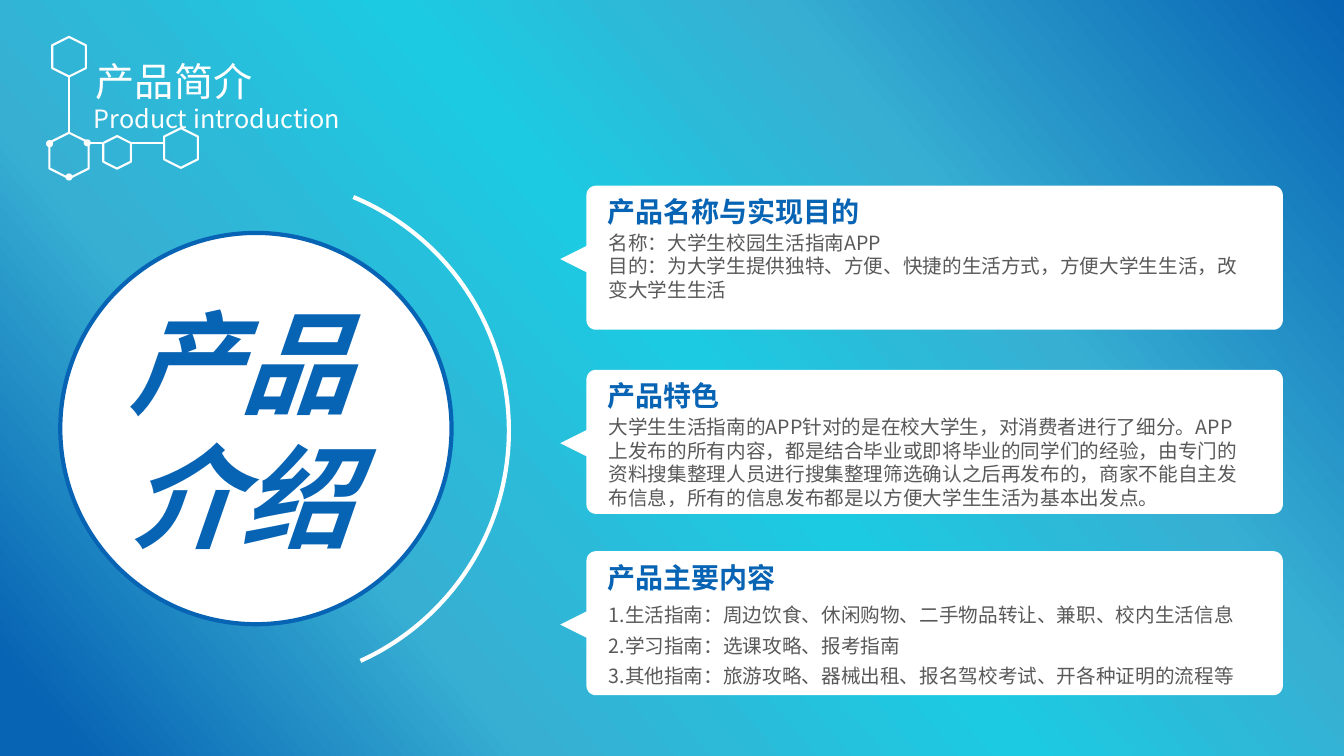
from dataclasses import dataclass
from math import cos, pi, sin

from lxml import etree
from pptx import Presentation
from pptx.dml.color import RGBColor
from pptx.enum.shapes import MSO_CONNECTOR, MSO_SHAPE
from pptx.enum.text import MSO_ANCHOR, MSO_AUTO_SIZE, PP_ALIGN
from pptx.oxml.ns import qn
from pptx.util import Cm, Pt

HEX, OVAL, ARC = MSO_SHAPE.HEXAGON, MSO_SHAPE.OVAL, MSO_SHAPE.ARC
LINE = MSO_CONNECTOR.STRAIGHT
TOP, LEFT, FIXED = MSO_ANCHOR.TOP, PP_ALIGN.LEFT, MSO_AUTO_SIZE.NONE


@dataclass(frozen=True)
class Theme:
    white: str = "FFFFFF"
    blue: str = "0763B3"
    gray: str = "595959"
    stops: tuple = ((4, "0763B3"), (27, "37AFD3"), (52, "1CCAE1"),
                    (71, "37AFD3"), (100, "0763B3"))
    sans: str = "Noto Sans CJK SC"
    latin: str = "Arial"
    title: int = 28
    sub: int = 18
    hero: int = 80
    head: int = 20
    body: int = 14
    thin: float = 1.5
    thick: float = 3


THEME = Theme()

# Card frame, in cm
CARD_X, CARD_W, CARD_H = 14.78, 17.55, 3.63
ROUND, TIP_Y, TIP_W, TIP_H = 0.24, 1.85, 0.66, 0.33

CARDS = (
    (4.68, "产品名称与实现目的", 1, (
        "名称：大学生校园生活指南APP",
        "目的：为大学生提供独特、方便、快捷的生活方式，方便大学生生活，改变大学生生活")),
    (9.32, "产品特色", 1, (
        "大学生生活指南的APP针对的是在校大学生，对消费者进行了细分。"
        "APP上发布的所有内容，都是结合毕业或即将毕业的同学们的经验，"
        "由专门的资料搜集整理人员进行搜集整理筛选确认之后再发布的，"
        "商家不能自主发布信息，所有的信息发布都是以方便大学生生活为基本出发点。",)),
    (13.89, "产品主要内容", 1.3, (
        "1.生活指南：周边饮食、休闲购物、二手物品转让、兼职、校内生活信息",
        "2.学习指南：选课攻略、报考指南",
        "3.其他指南：旅游攻略、器械出租、报名驾校考试、开各种证明的流程等")),
)

# Molecule: hexagons and dots by centre and size, bonds by ends
HEXES = ((1.74, 1.43, 1, 0.85), (1.74, 3.92, 1.15, 0.99),
         (2.95, 3.84, 0.82, 0.7), (4.56, 3.73, 1, 0.85))
BONDS = ((1.74, 1.93, 1.74, 3.35), (2.23, 3.61, 2.58, 3.61),
         (3.3, 3.61, 4.12, 3.61))
DOTS = ((1.25, 3.62), (1.74, 4.46), (2.2, 3.6))
DOT = 0.18


def rgb(code):
    return RGBColor.from_string(code)


def paint(shape, fill=None, line=None, width=THEME.thin):
    shape.shadow.inherit = False
    if fill:
        shape.fill.solid()
        shape.fill.fore_color.rgb = rgb(fill)
    else:
        shape.fill.background()
    if line:
        shape.line.color.rgb = rgb(line)
        shape.line.width = Pt(width)
    else:
        shape.line.fill.background()


def preset(slide, kind, mid_x, mid_y, wide, high, **look):
    shape = slide.shapes.add_shape(kind, Cm(mid_x - wide / 2),
                                   Cm(mid_y - high / 2), Cm(wide), Cm(high))
    paint(shape, **look)
    return shape


def bond(slide, *ends):
    line = slide.shapes.add_connector(LINE, *map(Cm, ends))
    line.line.color.rgb = rgb(THEME.white)
    line.line.width = Pt(THEME.thin)
    etree.SubElement(line._element.spPr, qn("a:effectLst"))


def write(shape, lines, size, color, space=1.0, face=THEME.sans,
          bold=False, slant=False, wrap=True):
    frame = shape.text_frame
    frame.word_wrap = wrap
    frame.auto_size = FIXED
    frame.vertical_anchor = TOP
    for i, text in enumerate(lines):
        para = frame.add_paragraph() if i else frame.paragraphs[0]
        para.alignment = LEFT
        para.line_spacing = space
        para.space_before = Pt(0)
        run = para.add_run()
        run.text = text
        font = run.font
        font.size, font.bold, font.italic = Pt(size), bold, slant
        font.color.rgb = rgb(color)
        font.name = face
        etree.SubElement(run._r.rPr, qn("a:ea"), typeface=THEME.sans)


def label(slide, box, *args, **look):
    write(slide.shapes.add_textbox(*map(Cm, box)), *args, **look)


def holder(shape, box, text, size):
    shape.left, shape.top, shape.width, shape.height = map(Cm, box)
    write(shape, (text,), size, THEME.white, space=0.9)
    props = shape.text_frame.paragraphs[0]._p.get_or_add_pPr()
    props.set("marL", "0")
    props.set("indent", "0")
    etree.SubElement(props, qn("a:buNone"))


def backdrop(slide):
    fill = slide.background.fill
    fill.gradient()
    fill.gradient_angle = 40
    stops = next(slide._element.iter(qn("a:gsLst")))
    for old in list(stops):
        stops.remove(old)
    for pos, code in THEME.stops:
        stop = etree.SubElement(stops, qn("a:gs"), pos=str(pos * 1000))
        etree.SubElement(stop, qn("a:srgbClr"), val=code)


def bubble(slide, top):
    right, low = CARD_X + CARD_W, top + CARD_H
    # Corner centres, clockwise from the top left
    turns = ((CARD_X + ROUND, top + ROUND, 2), (right - ROUND, top + ROUND, 3),
             (right - ROUND, low - ROUND, 0), (CARD_X + ROUND, low - ROUND, 1))
    edge = [(x + ROUND * cos((turn + step / 8) * pi / 2),
             y + ROUND * sin((turn + step / 8) * pi / 2))
            for x, y, turn in turns for step in range(9)]
    tip = top + TIP_Y
    edge += [(CARD_X, tip + TIP_H), (CARD_X - TIP_W, tip), (CARD_X, tip - TIP_H)]
    path = [(Cm(x), Cm(y)) for x, y in edge]
    pen = slide.shapes.build_freeform(*path[0])
    pen.add_line_segments(path[1:], close=True)
    paint(pen.convert_to_shape(), fill=THEME.white)


def card(slide, top, head, space, lines):
    bubble(slide, top)
    label(slide, (15.06, top + 0.1, 6.93, 1.11), (head,), THEME.head,
          THEME.blue, bold=True, wrap=False)
    label(slide, (15.09, top + 1.01, 16.48, 2.65), lines, THEME.body,
          THEME.gray, space=space)


def molecule(slide):
    for spot in HEXES:
        preset(slide, HEX, *spot, line=THEME.white).rotation = 90
    for ends in BONDS:
        bond(slide, *ends)
    for spot in DOTS:
        preset(slide, OVAL, *spot, DOT, DOT, fill=THEME.white)


def hero(slide):
    arc = preset(slide, ARC, 6.45, 10.85, 12.75, 12.75,
                 line=THEME.white, width=THEME.thick)
    arc.rotation = 30.7
    arc.adjustments[0], arc.adjustments[1] = 157.17, 20.93
    preset(slide, OVAL, 6.45, 10.8, 9.86, 9.86, fill=THEME.white,
           line=THEME.blue, width=THEME.thick)
    label(slide, (3, 7.26, 8.38, 7.09), ("产品介绍",), THEME.hero, THEME.blue,
          face=THEME.latin, bold=True, slant=True)


def main():
    deck = Presentation()
    deck.slide_width, deck.slide_height = Cm(33.87), Cm(19.05)
    slide = deck.slides.add_slide(deck.slide_layouts[1])
    backdrop(slide)
    molecule(slide)
    title, sub = slide.placeholders
    holder(title, (2.16, 1.45, 10.19, 1.63), "产品简介", THEME.title)
    holder(sub, (2.11, 2.57, 11.38, 1.3), "Product introduction", THEME.sub)
    hero(slide)
    for item in CARDS:
        card(slide, *item)
    deck.save("out.pptx")


if __name__ == "__main__":
    main()
